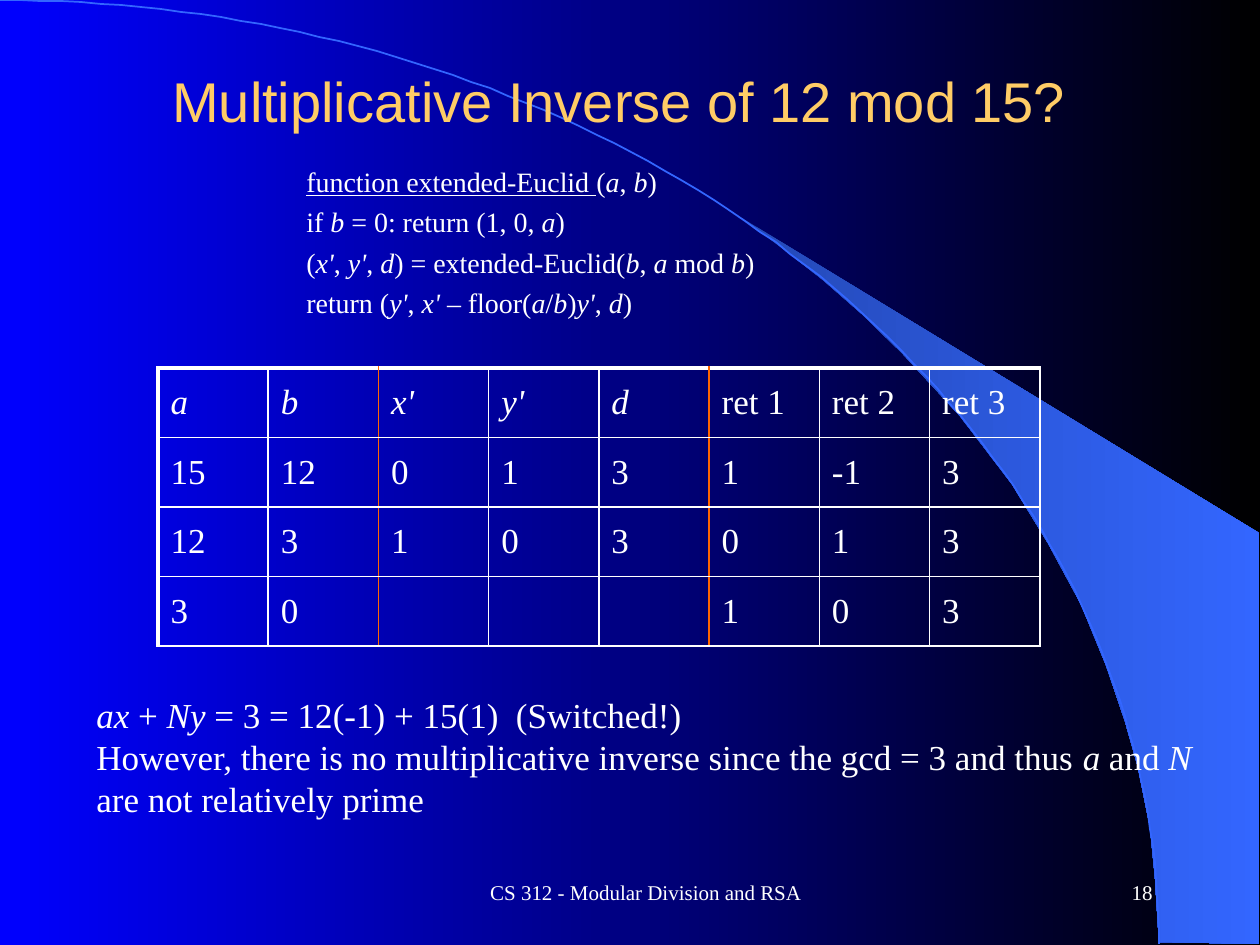
from math import cos, pi, sin

from lxml.etree import SubElement
from pptx import Presentation
from pptx.dml.color import RGBColor
from pptx.enum.text import MSO_ANCHOR as Anchor, PP_ALIGN as Align
from pptx.oxml.ns import qn
from pptx.util import Emu, Pt

BLUE = RGBColor(0x00, 0x00, 0xFF)
BLACK = RGBColor(0x00, 0x00, 0x00)
WHITE = RGBColor(0xFF, 0xFF, 0xFF)
GOLD = RGBColor(0xFF, 0xCC, 0x66)
ORANGE = RGBColor(0xFF, 0x66, 0x00)
SKY = RGBColor(0x33, 0x66, 0xFF)
DEEP_SKY = RGBColor(0x24, 0x49, 0xB6)
SERIF, SANS = "Times New Roman", "Arial"

# In all texts, *...* is italic and _..._ is underlined.
TITLE = ["Multiplicative Inverse of 12 mod 15?"]
FOOTER = ["CS 312 - Modular Division and RSA"]
PAGE = ["18"]
ALGORITHM = [
    "_function extended-Euclid _(*a*, *b*)",
    "if *b* = 0: return (1, 0, *a*)",
    "(*x'*, *y'*, *d*) = extended-Euclid(*b*, *a *mod *b*)",
    "return (*y'*, *x' *– floor(*a*/*b*)*y'*, *d*)",
]
CONCLUSION = [
    "*ax *+ *Ny *= 3 = 12(-1) + 15(1)  (Switched!)",
    "However, there is no multiplicative inverse since the gcd = 3 "
    "and thus *a* and *N* are not relatively prime",
]
TRACE = [
    ["*a*", "*b*", "*x'*", "*y'*", "*d*", "ret 1", "ret 2", "ret 3"],
    ["15", "12", "0", "1", "3", "1", "-1", "3"],
    ["12", "3", "1", "0", "3", "0", "1", "3"],
    ["3", "0", "", "", "", "1", "0", "3"],
]
GROUP_EDGES = (2, 5)  # column edges drawn in orange

SLIDE_SIZE = (1260, 945)
TABLE_BOX = (158, 368, 882, 278)
ARC_RADII = (1159, 944)
ARC_STEPS = 90
BEAM = [
    (1159, 942), (1259, 944), (1259, 533), (742, 218), (786, 251), (823, 280),
    (863, 315), (902, 353), (960, 416), (1012, 484), (1048, 543), (1081, 604),
    (1106, 665), (1125, 721), (1138, 767), (1150, 827), (1155, 877),
]


def px(length):
    return Emu(round(length * 914400 / 126))


def set_gradient(fill, start, end):
    fill.gradient()
    fill.gradient_angle = 0
    for stop, color, position in zip(fill.gradient_stops, (start, end), (0, 1)):
        stop.color.rgb = color
        stop.position = position


def add_outline(slide, points, closed):
    builder = slide.shapes.build_freeform(*points[0], scale=px(1))
    builder.add_line_segments(points[1:], close=closed)
    shape = builder.convert_to_shape()
    shape.shadow.inherit = False
    return shape


def write_runs(paragraph, text, size, color=WHITE, font=SERIF):
    for part_index, part in enumerate(text.split("_")):
        for piece_index, piece in enumerate(part.split("*")):
            if not piece:
                continue
            run = paragraph.add_run()
            run.text = piece
            run.font.size = Pt(size)
            run.font.name = font
            run.font.color.rgb = color
            run.font.italic = piece_index % 2 == 1
            run.font.underline = part_index % 2 == 1


def add_text(slide, box, lines, size, color=WHITE, font=SERIF, align=Align.LEFT,
             anchor=Anchor.TOP, indent=0, space_before=0):
    frame = slide.shapes.add_textbox(*map(px, box)).text_frame
    frame.word_wrap = True
    frame.vertical_anchor = anchor
    for index, line in enumerate(lines):
        paragraph = frame.add_paragraph() if index else frame.paragraphs[0]
        paragraph.alignment = align
        paragraph.space_before = Pt(space_before)
        if indent:
            properties = paragraph._p.get_or_add_pPr()
            properties.set("marL", str(px(indent)))
            properties.set("indent", "0")
        write_runs(paragraph, line, size, color, font)


def set_borders(cell, borders):
    """Draw (side, color, points) borders, given in the order L, R, T, B."""
    properties = cell._tc.get_or_add_tcPr()
    for index, (side, color, points) in enumerate(borders):
        line = SubElement(properties, qn(f"a:ln{side}"), w=str(Pt(points)))
        fill = SubElement(line, qn("a:solidFill"))
        SubElement(fill, qn("a:srgbClr"), val=str(color))
        properties.insert(index, line)


def edge_color(edge):
    return ORANGE if edge in GROUP_EDGES else WHITE


def add_trace_table(slide):
    frame = slide.shapes.add_table(len(TRACE), len(TRACE[0]), *map(px, TABLE_BOX))
    table = frame.table
    table.first_row = table.horz_banding = False
    for row, texts in enumerate(TRACE):
        for column, text in enumerate(texts):
            cell = table.cell(row, column)
            cell.fill.background()
            cell.vertical_anchor = Anchor.MIDDLE
            write_runs(cell.text_frame.paragraphs[0], text, 20)
            set_borders(cell, [
                ("L", edge_color(column), 1 if column else 2.25),
                ("R", edge_color(column + 1), 1),
                ("T", WHITE, 1 if row else 2.25),
                ("B", WHITE, 1),
            ])


def add_backdrop(slide):
    set_gradient(slide.background.fill, BLUE, BLACK)

    beam = add_outline(slide, BEAM, closed=True)
    set_gradient(beam.fill, DEEP_SKY, SKY)
    beam.line.fill.background()

    width, height = ARC_RADII
    angles = [step * pi / 2 / ARC_STEPS for step in range(ARC_STEPS + 1)]
    arc_points = [(width * sin(a), height * (1 - cos(a))) for a in angles]
    arc = add_outline(slide, arc_points, closed=False)
    arc.fill.background()
    arc.line.color.rgb = SKY
    arc.line.width = Pt(1)


def main():
    presentation = Presentation()
    presentation.slide_width, presentation.slide_height = map(px, SLIDE_SIZE)
    slide = presentation.slides.add_slide(presentation.slide_layouts[6])

    add_backdrop(slide)
    add_text(slide, (399, 861, 494, 63), FOOTER, 12,
             align=Align.CENTER, anchor=Anchor.MIDDLE)
    add_text(slide, (903, 861, 262, 63), PAGE, 12,
             align=Align.RIGHT, anchor=Anchor.MIDDLE)
    add_text(slide, (84, 42, 1071, 116), TITLE, 32, GOLD, SANS,
             align=Align.CENTER, anchor=Anchor.MIDDLE)
    add_trace_table(slide)
    add_text(slide, (231, 158, 872, 168), ALGORITHM, 16, indent=63, space_before=4)
    add_text(slide, (84, 687, 1144, 140), CONCLUSION, 20)

    presentation.save("out.pptx")


if __name__ == "__main__":
    main()
